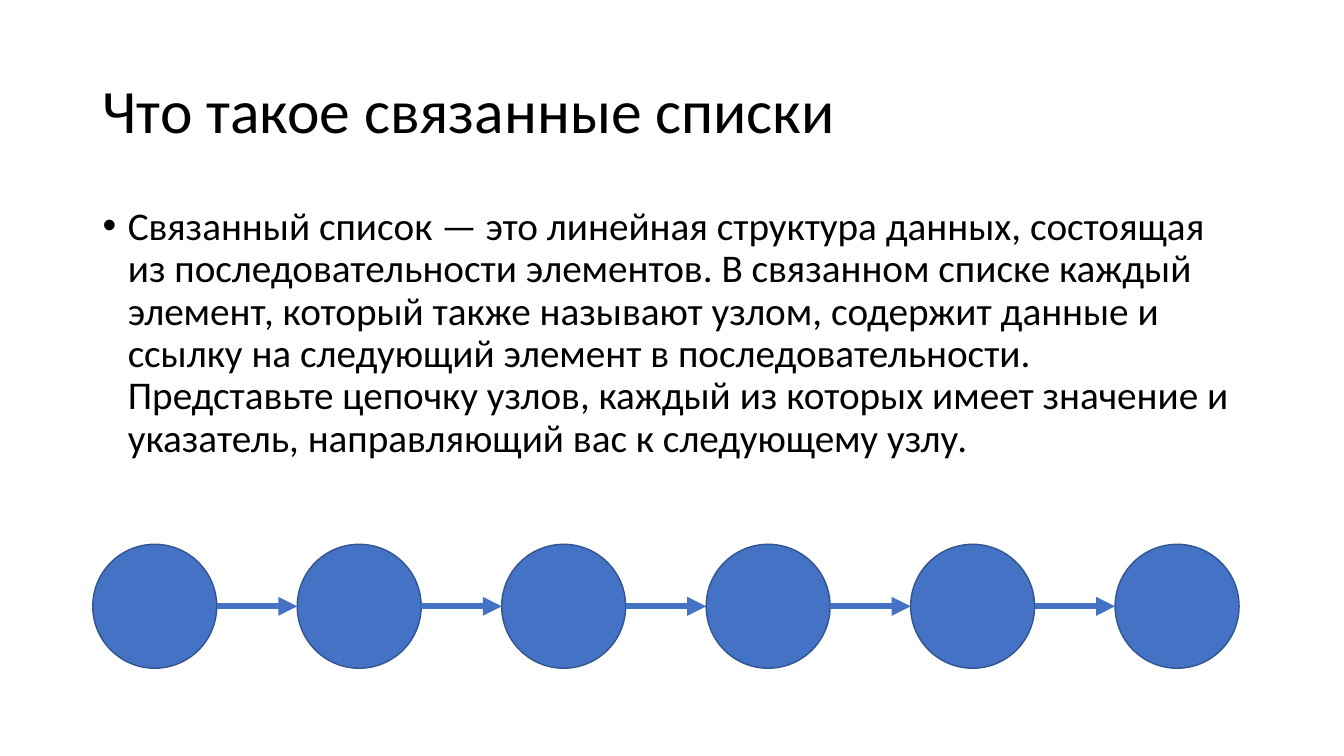
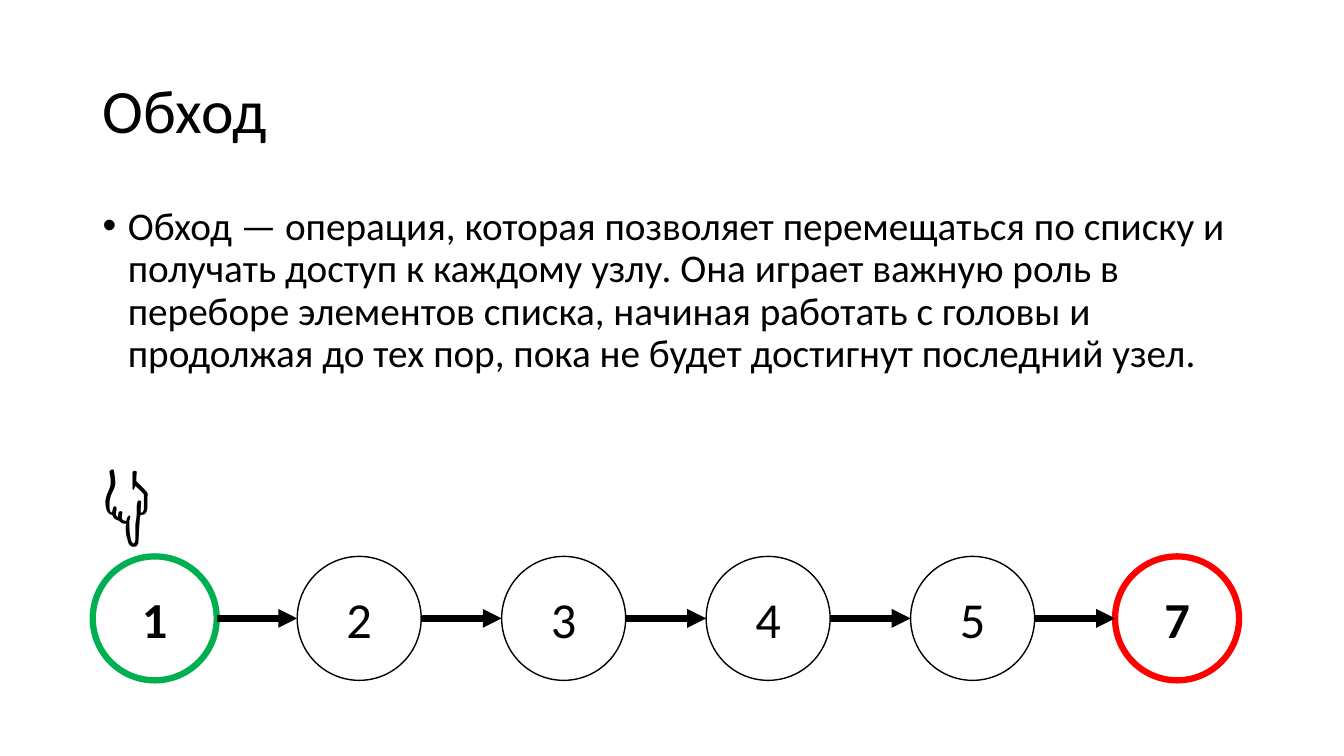
import pptx
import pptx.dml.color
import pptx.enum.shapes
import pptx.enum.text
import pptx.oxml
import pptx.oxml.ns
import pptx.util

Inches = pptx.util.Inches
Pt = pptx.util.Pt
RGBColor = pptx.dml.color.RGBColor
Anchor = pptx.enum.text.MSO_ANCHOR

BLACK = RGBColor(0x00, 0x00, 0x00)
WHITE = RGBColor(0xFF, 0xFF, 0xFF)
BLUE = RGBColor(0x44, 0x72, 0xC4)
DARK_BLUE = RGBColor(0x32, 0x54, 0x91)
GREEN = RGBColor(0x00, 0xB0, 0x50)
RED = RGBColor(0xFF, 0x00, 0x00)

DEFINITION = (
    "Связанный список — это линейная структура данных, состоящая из "
    "последовательности элементов. В связанном списке каждый элемент, который "
    "также называют узлом, содержит данные и ссылку на следующий элемент в "
    "последовательности. Представьте цепочку узлов, каждый из которых имеет "
    "значение и указатель, направляющий вас к следующему узлу."
)
TRAVERSAL = (
    "Обход — операция, которая позволяет перемещаться по списку и получать "
    "доступ к каждому узлу. Она играет важную роль в переборе элементов списка, "
    "начиная работать с головы и продолжая до тех пор, пока не будет достигнут "
    "последний узел."
)


class Deck:
    FONT = "Calibri"
    LEFT, WIDTH = 0.92, 11.5
    NODE_COUNT, NODE_SIZE, LAST_NODE_LEFT = 6, 1.23, 11.06
    NODE_PITCH = (LAST_NODE_LEFT - LEFT) / (NODE_COUNT - 1)
    THIN, THICK = 1, 4.5

    def __init__(self):
        self.presentation = pptx.Presentation()
        self.presentation.slide_width = Inches(13.33)
        self.presentation.slide_height = Inches(7.5)
        self.slide = None

    def start_slide(self, title):
        blank = self.presentation.slide_layouts[6]
        self.slide = self.presentation.slides.add_slide(blank)
        heading = self.text(title, 44, self.LEFT, 0.4, self.WIDTH, 1.45, Anchor.MIDDLE)
        heading.line_spacing = 0.9

    def add_words(self, paragraph, words, size, bold=False):
        run = paragraph.add_run()
        run.text = words
        run.font.name = self.FONT
        run.font.size = Pt(size)
        run.font.bold = bold
        run.font.color.rgb = BLACK

    def text(self, words, size, left, top, width, height, anchor=Anchor.TOP):
        """Add a text box and return its paragraph."""
        box = self.slide.shapes.add_textbox(
            Inches(left), Inches(top), Inches(width), Inches(height))
        box.text_frame.word_wrap = True
        box.text_frame.vertical_anchor = anchor
        paragraph = box.text_frame.paragraphs[0]
        self.add_words(paragraph, words, size)
        return paragraph

    def bullet(self, words, height):
        paragraph = self.text(words, 28, self.LEFT, 2, self.WIDTH, height)
        paragraph.line_spacing = 0.9
        paragraph.space_before = Pt(10)
        properties = paragraph._p.get_or_add_pPr()
        properties.set("marL", str(Inches(0.25)))
        properties.set("indent", str(Inches(-0.25)))
        for tag, key, value in (("buFont", "typeface", "Arial"), ("buChar", "char", "•")):
            mark = pptx.oxml.ns.qn(f"a:{tag}")
            properties.append(properties.makeelement(mark, {key: value}))

    def node(self, left, top, fill, outline, weight, label, bold):
        circle = self.slide.shapes.add_shape(
            pptx.enum.shapes.MSO_SHAPE.OVAL, Inches(left), Inches(top),
            Inches(self.NODE_SIZE), Inches(self.NODE_SIZE))
        circle.shadow.inherit = False
        circle.fill.solid()
        circle.fill.fore_color.rgb = fill
        circle.line.color.rgb = outline
        circle.line.width = Pt(weight)
        if label:
            circle.text_frame.vertical_anchor = Anchor.MIDDLE
            paragraph = circle.text_frame.paragraphs[0]
            paragraph.alignment = pptx.enum.text.PP_ALIGN.CENTER
            self.add_words(paragraph, label, 36, bold)

    def arrow(self, start, end, y, color):
        link = self.slide.shapes.add_connector(
            pptx.enum.shapes.MSO_CONNECTOR.STRAIGHT,
            Inches(start), Inches(y), Inches(end), Inches(y))
        link.line.color.rgb = color
        link.line.width = Pt(self.THICK)
        line = link.line._get_or_add_ln()
        line.append(line.makeelement(pptx.oxml.ns.qn("a:tailEnd"), {"type": "triangle"}))
        properties = link._element.spPr
        properties.append(properties.makeelement(pptx.oxml.ns.qn("a:effectLst"), {}))

    def chain(self, top, fill, outline, link_color, labels=None, ends=None):
        """Draw linked nodes; ends gives the outlines of the stressed first and last."""
        labels = labels or [""] * self.NODE_COUNT
        lefts = [self.LEFT + i * self.NODE_PITCH for i in range(self.NODE_COUNT)]
        stressed = {0: ends[0], self.NODE_COUNT - 1: ends[1]} if ends else {}
        for i, (left, label) in enumerate(zip(lefts, labels)):
            weight = self.THICK if i in stressed else self.THIN
            self.node(left, top, fill, stressed.get(i, outline), weight,
                      label, i in stressed)
        for left, next_left in zip(lefts, lefts[1:]):
            self.arrow(left + self.NODE_SIZE, next_left,
                       top + self.NODE_SIZE / 2, link_color)


def main():
    deck = Deck()

    deck.start_slide("Что такое связанные списки")
    deck.bullet(DEFINITION, 2.63)
    deck.chain(5.4, BLUE, DARK_BLUE, BLUE)

    deck.start_slide("Обход")
    deck.bullet(TRAVERSAL, 1.9)
    deck.chain(5.52, WHITE, BLACK, BLACK, labels="123457", ends=(GREEN, RED))
    deck.text("👇", 60, deck.LEFT, 4.4, 1.09, 1.11)

    deck.presentation.save("out.pptx")


if __name__ == "__main__":
    main()
